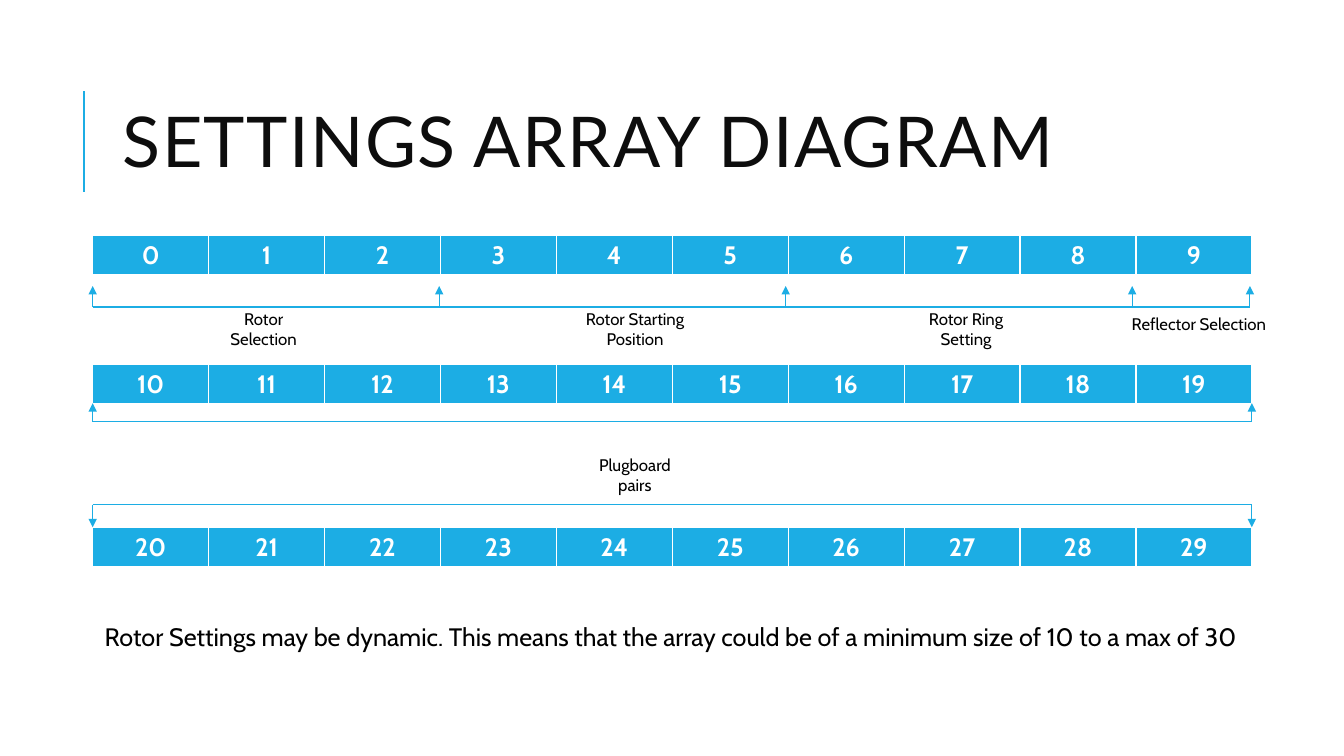
from dataclasses import dataclass
from itertools import pairwise

from lxml import etree
from pptx import Presentation
from pptx.dml.color import RGBColor
from pptx.enum.shapes import MSO_CONNECTOR
from pptx.enum.text import MSO_ANCHOR, MSO_AUTO_SIZE, PP_ALIGN
from pptx.oxml.ns import qn
from pptx.util import Pt

STRAIGHT = MSO_CONNECTOR.STRAIGHT
MIDDLE = MSO_ANCHOR.MIDDLE
LEFT, CENTER = PP_ALIGN.LEFT, PP_ALIGN.CENTER
NO_AUTOFIT, GROW = MSO_AUTO_SIZE.NONE, MSO_AUTO_SIZE.SHAPE_TO_FIT_TEXT

COLORS = {"accent": "1CADE4", "white": "FFFFFF", "title": "0D0D0D", "text": "000000"}
BODY_FONT, TITLE_FONT = "Cabin", "Lato"
COLUMNS = 10
CELL_W, CELL_H = 82.8, 29.2
ARRAY_X = 66.2
ARRAY_RIGHT = ARRAY_X + COLUMNS * CELL_W
GROUP_W = 247.5
BORDERS = {"a:lnL": 1, "a:lnR": 1, "a:lnT": 1, "a:lnB": 3}


@dataclass
class Bracket:
    marks: list[float]
    y: float
    tip_y: float


@dataclass
class Label:
    text: str
    x: float
    y: float
    w: float
    h: float = 21.8
    size: float = 12
    align: PP_ALIGN = CENTER


ARRAY_TOPS = [167.8, 260, 376.6]
SETTING_MARKS = [ARRAY_X + i * GROUP_W for i in range(4)] + [892.8]
BRACKETS = [
    Bracket(SETTING_MARKS, 219.3, 204.3),
    Bracket([ARRAY_X, ARRAY_RIGHT], 301.4, 288),
    Bracket([ARRAY_X, ARRAY_RIGHT], 360.7, 376.6),
]
LABELS = [
    Label("Rotor Selection", 143.3, 216.7, 90),
    Label("Rotor Starting Position", 391, 216.7, 125.3),
    Label("Rotor Ring Setting", 638.6, 216.7, 103),
    Label("Reflector Selection", 800.6, 220.3, 111.6),
    Label("Plugboard pairs", 408.2, 321.1, 90.7),
    Label(
        "Rotor Settings may be dynamic. This means that the array could be "
        "of a minimum size of 10 to a max of 30",
        67.7, 440.6, 825.1, 29.1, 18, LEFT,
    ),
]


def rgb(name: str) -> RGBColor:
    return RGBColor.from_string(COLORS[name])


def add_run(p, text: str, size: float, color: str, font: str = BODY_FONT, bold: bool = False):
    r = p.add_run()
    r.text = text
    r.font.name = font
    r.font.size = Pt(size)
    r.font.bold = bold
    r.font.color.rgb = rgb(color)
    return r


def add_line(s, x1: float, y1: float, x2: float, y2: float,
             width: float = 0.75, arrow: bool = False) -> None:
    line = s.shapes.add_connector(STRAIGHT, Pt(x1), Pt(y1), Pt(x2), Pt(y2))
    line.line.color.rgb = rgb("accent")
    line.line.width = Pt(width)
    if arrow:
        etree.SubElement(line.line._get_or_add_ln(), qn("a:tailEnd"), type="triangle")
    etree.SubElement(line._element.spPr, qn("a:effectLst"))


def add_title(s, text: str) -> None:
    sp = s.shapes.title
    sp.left, sp.top, sp.width, sp.height = Pt(80.6), Pt(46.1), Pt(765.4), Pt(118)
    tf = sp.text_frame
    tf.word_wrap = True
    tf.auto_size = NO_AUTOFIT
    tf.vertical_anchor = MIDDLE
    p = tf.paragraphs[0]
    p.alignment = LEFT
    p.line_spacing = 0.8
    r = add_run(p, text, 50, "title", TITLE_FONT)
    r.font._element.set("spc", "100")


def set_borders(cell) -> None:
    tc_pr = cell._tc.get_or_add_tcPr()
    for i, (tag, width) in enumerate(BORDERS.items()):
        ln = etree.Element(qn(tag), w=str(Pt(width)))
        fill = etree.SubElement(ln, qn("a:solidFill"))
        etree.SubElement(fill, qn("a:srgbClr"), val=COLORS["white"])
        tc_pr.insert(i, ln)


def add_array(s, top: float, first: int) -> None:
    table = s.shapes.add_table(
        1, COLUMNS, Pt(ARRAY_X), Pt(top), Pt(COLUMNS * CELL_W), Pt(CELL_H)
    ).table
    for i in range(COLUMNS):
        table.columns[i].width = Pt(CELL_W)
        cell = table.cell(0, i)
        cell.fill.solid()
        cell.fill.fore_color.rgb = rgb("accent")
        set_borders(cell)
        p = cell.text_frame.paragraphs[0]
        p.alignment = CENTER
        add_run(p, str(first + i), 18, "white", bold=True)


def add_bracket(s, bracket: Bracket) -> None:
    for x1, x2 in pairwise(bracket.marks):
        add_line(s, x1, bracket.y, x2, bracket.y)
    for x in bracket.marks:
        add_line(s, x, bracket.y, x, bracket.tip_y, arrow=True)


def add_label(s, label: Label) -> None:
    sp = s.shapes.add_textbox(Pt(label.x), Pt(label.y), Pt(label.w), Pt(label.h))
    tf = sp.text_frame
    tf.word_wrap = True
    tf.auto_size = GROW
    p = tf.paragraphs[0]
    p.alignment = label.align
    add_run(p, label.text, label.size, "text")


prs = Presentation()
prs.slide_width, prs.slide_height = Pt(960), Pt(540)
s = prs.slides.add_slide(prs.slide_layouts[5])
s.background.fill.solid()
s.background.fill.fore_color.rgb = rgb("white")

add_line(s, 60, 136.8, 60, 64.8, width=1.5)
add_title(s, "SETTINGS ARRAY DIAGRAM")
for row, top in enumerate(ARRAY_TOPS):
    add_array(s, top, row * COLUMNS)
for bracket in BRACKETS:
    add_bracket(s, bracket)
for label in LABELS:
    add_label(s, label)

prs.save("out.pptx")
